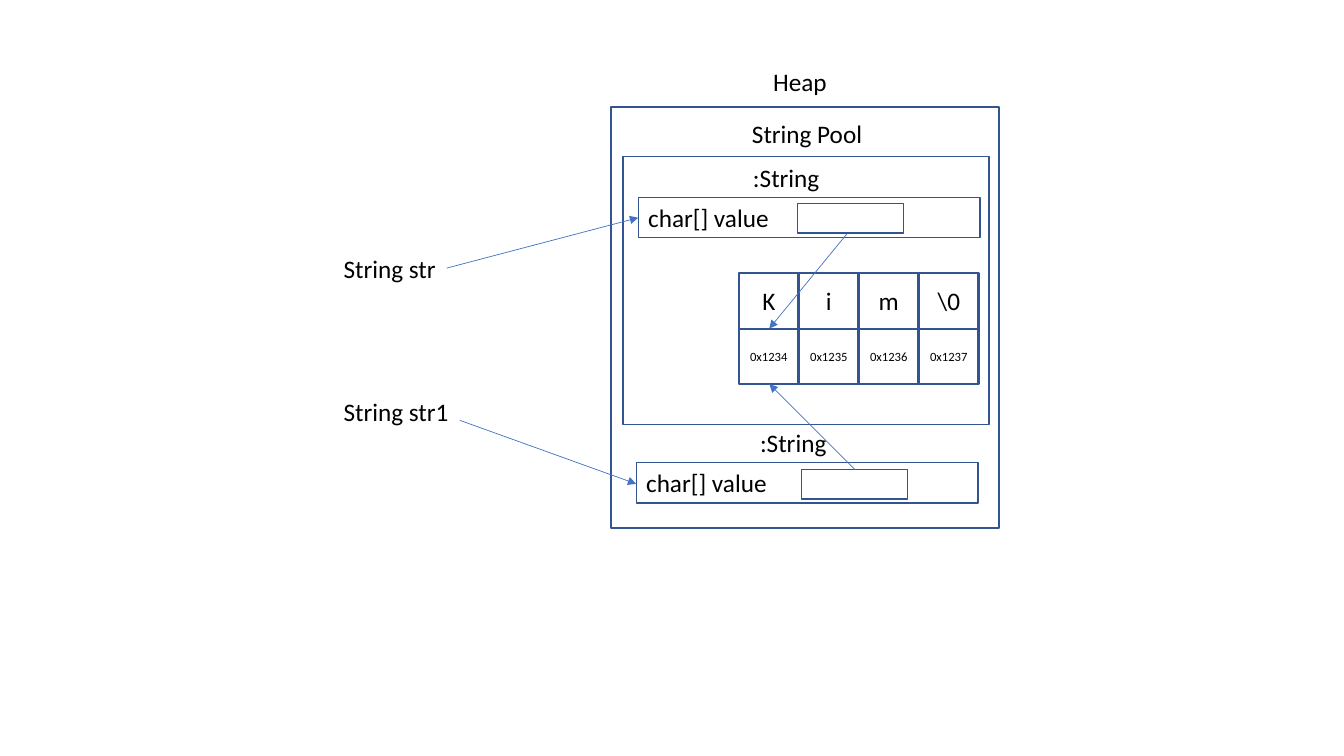
import dataclasses

import lxml.etree
import pptx
import pptx.dml.color
import pptx.enum.shapes
import pptx.enum.text
import pptx.oxml.ns
import pptx.util

Inches = pptx.util.Inches
Pt = pptx.util.Pt
ALIGN = pptx.enum.text.PP_ALIGN
ANCHOR = pptx.enum.text.MSO_ANCHOR


@dataclasses.dataclass(frozen=True)
class Theme:
    """Colours, font, type sizes and line widths of the slide."""
    font: str = "Calibri"
    text: str = "000000"
    fill: str = "FFFFFF"
    outline: str = "325491"
    arrow: str = "4472C4"
    body: float = 18
    small: float = 9
    box_line: float = 1
    cell_line: float = 1.5
    arrow_line: float = 0.5


THEME = Theme()


def rgb(value):
    """Return a colour object for a hex string."""
    return pptx.dml.color.RGBColor.from_string(value)


def write(tf, text, size=THEME.body, align=ALIGN.LEFT, anchor=ANCHOR.TOP, wrap=True):
    """Put one formatted paragraph into a text frame."""
    tf.word_wrap = wrap
    tf.vertical_anchor = anchor
    p = tf.paragraphs[0]
    p.alignment = align
    r = p.add_run()
    r.text = text
    r.font.name = THEME.font
    r.font.size = Pt(size)
    r.font.color.rgb = rgb(THEME.text)


def add_label(s, text, left, top, width):
    """Add a one-line label that does not wrap."""
    sp = s.shapes.add_textbox(Inches(left), Inches(top), Inches(width), Inches(0.4))
    write(sp.text_frame, text, wrap=False)
    sp.text_frame.auto_size = pptx.enum.text.MSO_AUTO_SIZE.SHAPE_TO_FIT_TEXT


def add_box(s, left, top, width, height, text="", line=THEME.box_line, **fmt):
    """Add an outlined rectangle with optional text."""
    sp = s.shapes.add_shape(pptx.enum.shapes.MSO_SHAPE.RECTANGLE,
                            Inches(left), Inches(top), Inches(width), Inches(height))
    sp.shadow.inherit = False
    sp.fill.solid()
    sp.fill.fore_color.rgb = rgb(THEME.fill)
    sp.line.color.rgb = rgb(THEME.outline)
    sp.line.width = Pt(line)
    if text:
        write(sp.text_frame, text, anchor=ANCHOR.MIDDLE, **fmt)


def add_arrow(s, start, end):
    """Add a straight arrow with a triangular head at its end."""
    points = [Inches(v) for v in (*start, *end)]
    sp = s.shapes.add_connector(pptx.enum.shapes.MSO_CONNECTOR.STRAIGHT, *points)
    sp.line.color.rgb = rgb(THEME.arrow)
    sp.line.width = Pt(THEME.arrow_line)
    qn = pptx.oxml.ns.qn
    lxml.etree.SubElement(sp.line._get_or_add_ln(), qn("a:tailEnd"), type="triangle")
    lxml.etree.SubElement(sp._element.spPr, qn("a:effectLst"))


def add_string_object(s, left, top, label_left, slot_left, slot_top):
    """Add a String object with its label and value slot."""
    add_box(s, left, top, 3.39, 0.4, "char[] value")
    add_label(s, ":String", label_left, top - 0.4, 0.87)
    add_box(s, slot_left, slot_top, 1.05, 0.29)


def add_char_array(s, left, top, chars, address):
    """Add a row of characters above a row of their addresses."""
    pitch, width, height = 0.595, 0.59, 0.55
    codes = [f"0x{address + i:x}" for i in range(len(chars))]
    for row, (texts, size) in enumerate(((chars, THEME.body), (codes, THEME.small))):
        for col, text in enumerate(texts):
            add_box(s, left + col * pitch, top + row * height, width, height, text,
                    line=THEME.cell_line, size=size, align=ALIGN.CENTER)


def main():
    """Build the slide and save it."""
    prs = pptx.Presentation()
    prs.slide_width, prs.slide_height = Inches(13.33), Inches(7.5)
    s = prs.slides.add_slide(prs.slide_layouts[6])

    add_label(s, "String str", 3.31, 2.46, 1.12)
    add_label(s, "String str1", 3.31, 3.88, 1.25)
    add_box(s, 6.06, 1.06, 3.85, 4.18)
    add_label(s, "Heap", 7.57, 0.61, 0.74)
    add_box(s, 6.18, 1.55, 3.63, 2.66)
    add_label(s, "String Pool", 7.36, 1.12, 1.31)

    add_string_object(s, 6.31, 4.59, 7.44, 7.95, 4.66)
    add_string_object(s, 6.33, 1.96, 7.37, 7.91, 2.02)
    add_char_array(s, 7.33, 2.71, ["K", "i", "m", "\\0"], 0x1234)

    for start, end in (((4.43, 2.66), (6.33, 2.16)), ((4.56, 4.17), (6.31, 4.8)),
                       ((8.48, 4.66), (7.63, 3.81)), ((8.4, 2.32), (7.63, 3.26))):
        add_arrow(s, start, end)
    prs.save("out.pptx")


main()
